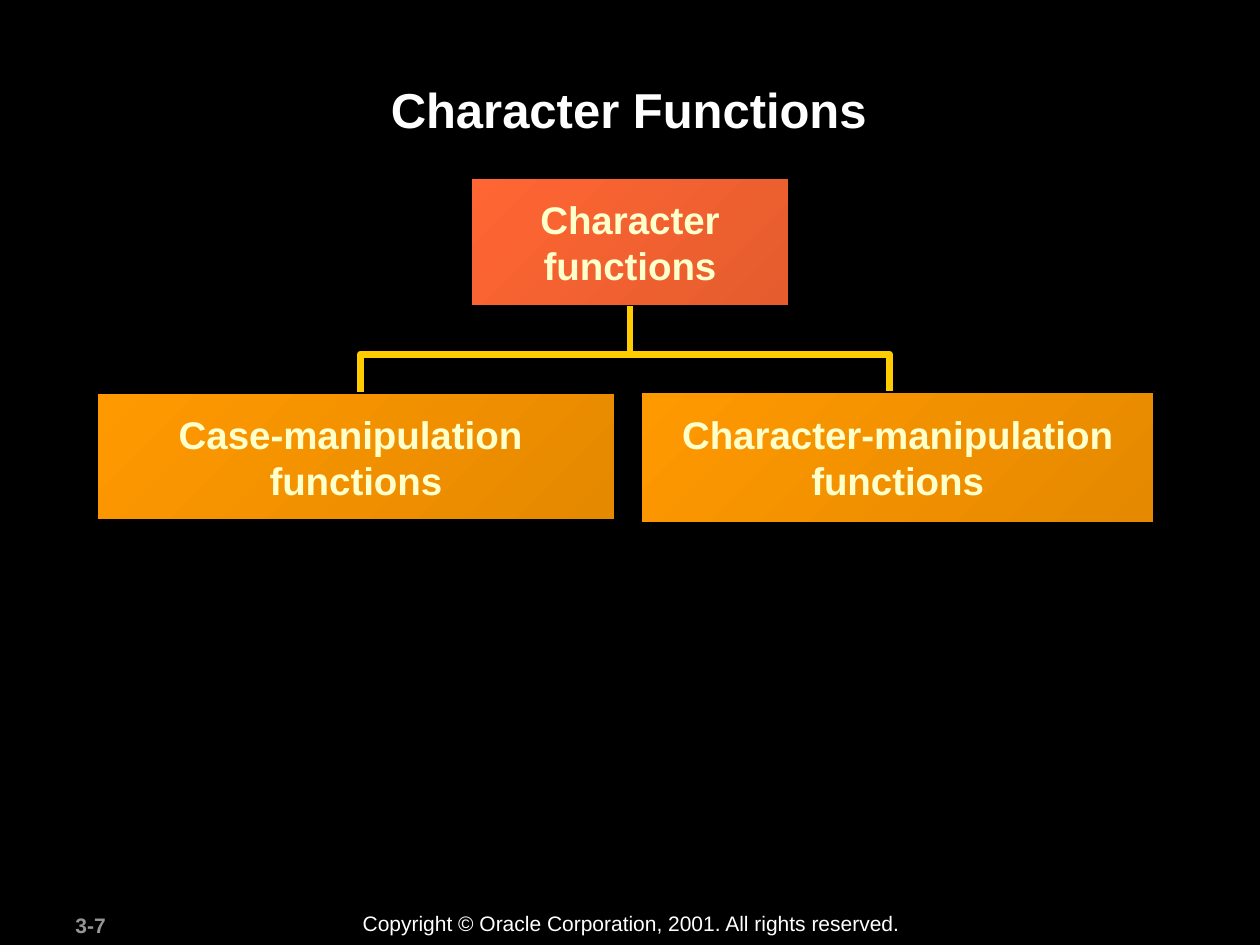
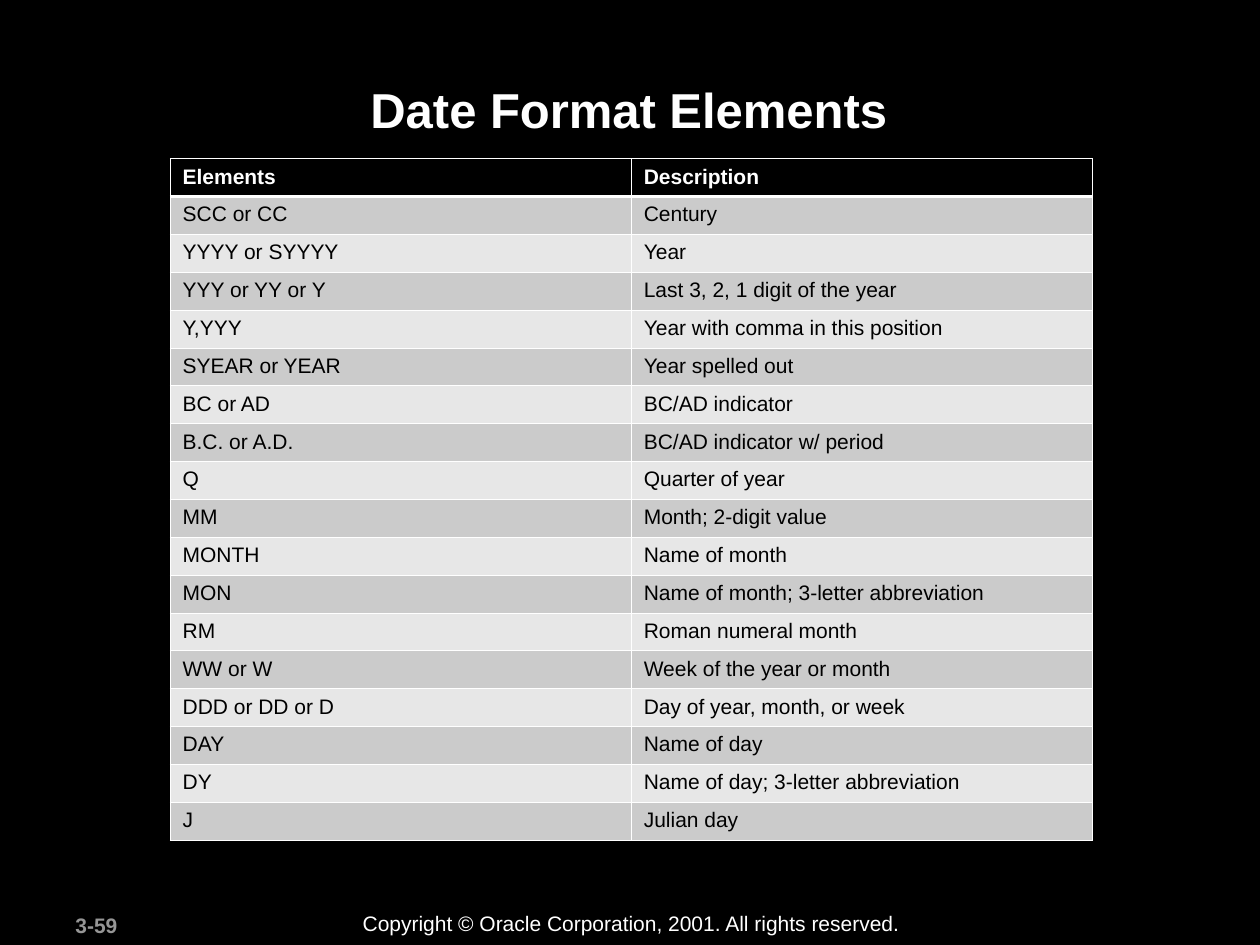
from lxml.etree import SubElement
from pptx import Presentation
from pptx.dml.color import RGBColor
from pptx.enum.shapes import MSO_CONNECTOR, MSO_SHAPE
from pptx.enum.text import MSO_ANCHOR, PP_ALIGN
from pptx.oxml.ns import qn
from pptx.util import Inches, Pt

FONT = "Arial"
COLORS = {
    "background": "000000",
    "white": "FFFFFF",
    "page_number": "969696",
    "box_text": "FFFFCC",
    "branch": "FFCC00",
    "root_start": "FF6633",
    "root_end": "E55C2E",
    "child_start": "FF9900",
    "child_end": "E58900",
    "odd_row": "CBCBCB",
    "even_row": "E7E7E7",
    "cell_text": "000000",
}
COPYRIGHT = "Copyright © Oracle Corporation, 2001. All rights reserved."
DATE_ELEMENTS = [
    ("Elements", "Description"),
    ("SCC or CC", "Century"),
    ("YYYY or SYYYY", "Year"),
    ("YYY or YY or Y", "Last 3, 2, 1 digit of the year"),
    ("Y,YYY", "Year with comma in this position"),
    ("SYEAR or YEAR", "Year spelled out"),
    ("BC or AD", "BC/AD indicator"),
    ("B.C. or A.D.", "BC/AD indicator w/ period"),
    ("Q", "Quarter of year"),
    ("MM", "Month; 2-digit value"),
    ("MONTH", "Name of month"),
    ("MON", "Name of month; 3-letter abbreviation"),
    ("RM", "Roman numeral month"),
    ("WW or W", "Week of the year or month"),
    ("DDD or DD or D", "Day of year, month, or week"),
    ("DAY", "Name of day"),
    ("DY", "Name of day; 3-letter abbreviation"),
    ("J", "Julian day"),
]
THIN, THICK = 0.45, 1.47


def rgb(name):
    """Return the named colour."""
    return RGBColor.from_string(COLORS[name])


def write_lines(frame, lines, size, color, bold=False, align=PP_ALIGN.LEFT):
    """Write each line as a paragraph of one run."""
    for index, line in enumerate(lines):
        para = frame.add_paragraph() if index else frame.paragraphs[0]
        para.alignment = align
        span = para.add_run()
        span.text = line
        span.font.name = FONT
        span.font.size = Pt(size)
        span.font.bold = bold
        span.font.color.rgb = rgb(color)


def add_text(page, place, text, size, color, bold=False, align=PP_ALIGN.LEFT):
    """Add a wrapping text box with one line of text."""
    box = page.shapes.add_textbox(*map(Inches, place))
    box.text_frame.word_wrap = True
    write_lines(box.text_frame, [text], size, color, bold, align)


def add_page(deck, title, number):
    """Add a slide with its footer and title."""
    page = deck.slides.add_slide(deck.slide_layouts[6])
    add_text(page, (0.5, 7.19, 1.05, 0.3), number, 12, "page_number", True)
    add_text(page, (2.78, 7.18, 4.48, 0.3), COPYRIGHT, 12, "white")
    add_text(page, (0.94, 0.58, 8.1, 0.96), title, 28, "white", True, PP_ALIGN.CENTER)
    return page


def add_function_box(page, place, lines, kind):
    """Add a gradient rectangle with centred bold lines."""
    box = page.shapes.add_shape(MSO_SHAPE.RECTANGLE, *map(Inches, place))
    box.shadow.inherit = False
    box.fill.gradient()
    box.fill.gradient_angle = 315
    for stop, end in zip(box.fill.gradient_stops, ("start", "end")):
        stop.color.rgb = rgb(f"{kind}_{end}")
    box.line.color.rgb = rgb("background")
    box.line.width = Pt(1)
    frame = box.text_frame
    frame.word_wrap = False
    frame.vertical_anchor = MSO_ANCHOR.MIDDLE
    write_lines(frame, lines, 22, "box_text", True, PP_ALIGN.CENTER)
    return box


def style_branch(branch):
    """Give a branch line its colour and width."""
    branch.line.color.rgb = rgb("branch")
    branch.line.width = Pt(4)


def add_stem(page, box, x, top, bottom):
    """Add a vertical line down from the middle of a box's bottom side."""
    stem = page.shapes.add_connector(
        MSO_CONNECTOR.STRAIGHT, *map(Inches, (x, top, x, bottom)))
    stem.begin_connect(box, 2)
    style_branch(stem)
    SubElement(stem._element.spPr, qn("a:effectLst"))


def add_fork(page, points):
    """Add an open outline through the points."""
    start, *rest = [tuple(map(Inches, point)) for point in points]
    builder = page.shapes.build_freeform(*start, scale=1.0)
    builder.add_line_segments(rest, close=False)
    fork = builder.convert_to_shape()
    fork.shadow.inherit = False
    fork.fill.background()
    style_branch(fork)


def set_borders(cell, top, bottom):
    """Draw white lines on the four sides of a cell."""
    properties = cell._tc.get_or_add_tcPr()
    for side, width in (("L", THIN), ("R", THIN), ("T", top), ("B", bottom)):
        line = SubElement(properties, qn(f"a:ln{side}"), w=str(Pt(width)))
        fill = SubElement(line, qn("a:solidFill"))
        SubElement(fill, qn("a:srgbClr"), val=COLORS["white"])


def add_banded_table(page, left, top, column_width, row_height, rows):
    """Add a table with a dark header and alternating row fills."""
    columns = len(rows[0])
    table = page.shapes.add_table(
        len(rows), columns, Inches(left), Inches(top),
        Inches(column_width * columns), Inches(row_height * len(rows))).table
    for column in table.columns:
        column.width = Inches(column_width)
    for row_index, row in enumerate(rows):
        table.rows[row_index].height = Inches(row_height)
        header = row_index == 0
        band = "background" if header else "odd_row" if row_index % 2 else "even_row"
        for column_index, text in enumerate(row):
            cell = table.cell(row_index, column_index)
            set_borders(cell, THICK if row_index == 1 else THIN, THICK if header else THIN)
            cell.fill.solid()
            cell.fill.fore_color.rgb = rgb(band)
            write_lines(cell.text_frame, [text], 12, "white" if header else "cell_text", header)


def main():
    """Build and save the deck."""
    deck = Presentation()
    deck.slide_width, deck.slide_height = Inches(10), Inches(7.5)
    backdrop = deck.slide_master.background.fill
    backdrop.solid()
    backdrop.fore_color.rgb = rgb("background")

    page = add_page(deck, "Character Functions", "3-7")
    root = add_function_box(page, (3.74, 1.41, 2.52, 1.02), ["Character", "functions"], "root")
    add_stem(page, root, 5, 2.43, 2.79)
    add_fork(page, [(2.86, 3.36), (2.86, 2.81), (7.06, 2.81), (7.06, 3.4)])
    add_function_box(page, (0.77, 3.12, 4.11, 1.01), ["Case-manipulation ", "functions"], "child")
    add_function_box(page, (5.09, 3.11, 4.07, 1.04), ["Character-manipulation", "functions"], "child")

    page = add_page(deck, "Date Format Elements", "3-59")
    add_banded_table(page, 1.35, 1.26, 3.66, 0.3, DATE_ELEMENTS)
    deck.save("out.pptx")


if __name__ == "__main__":
    main()
